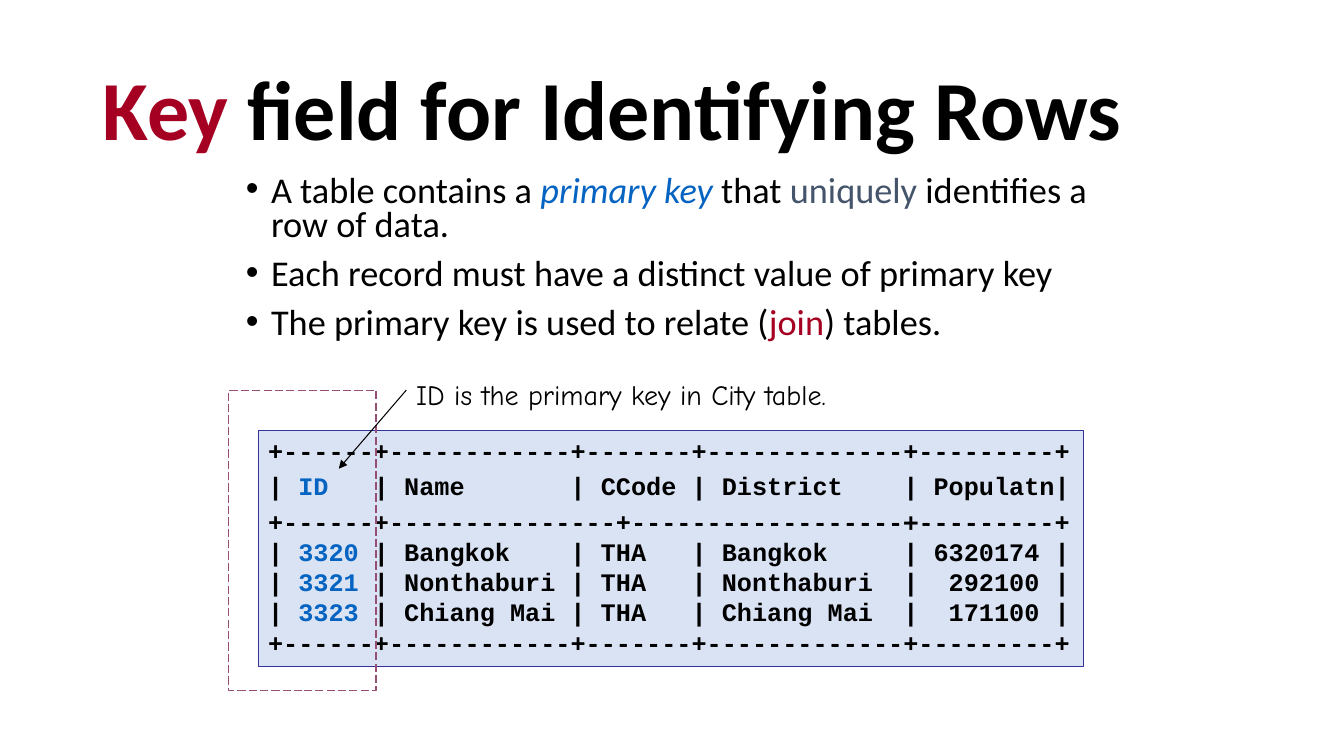
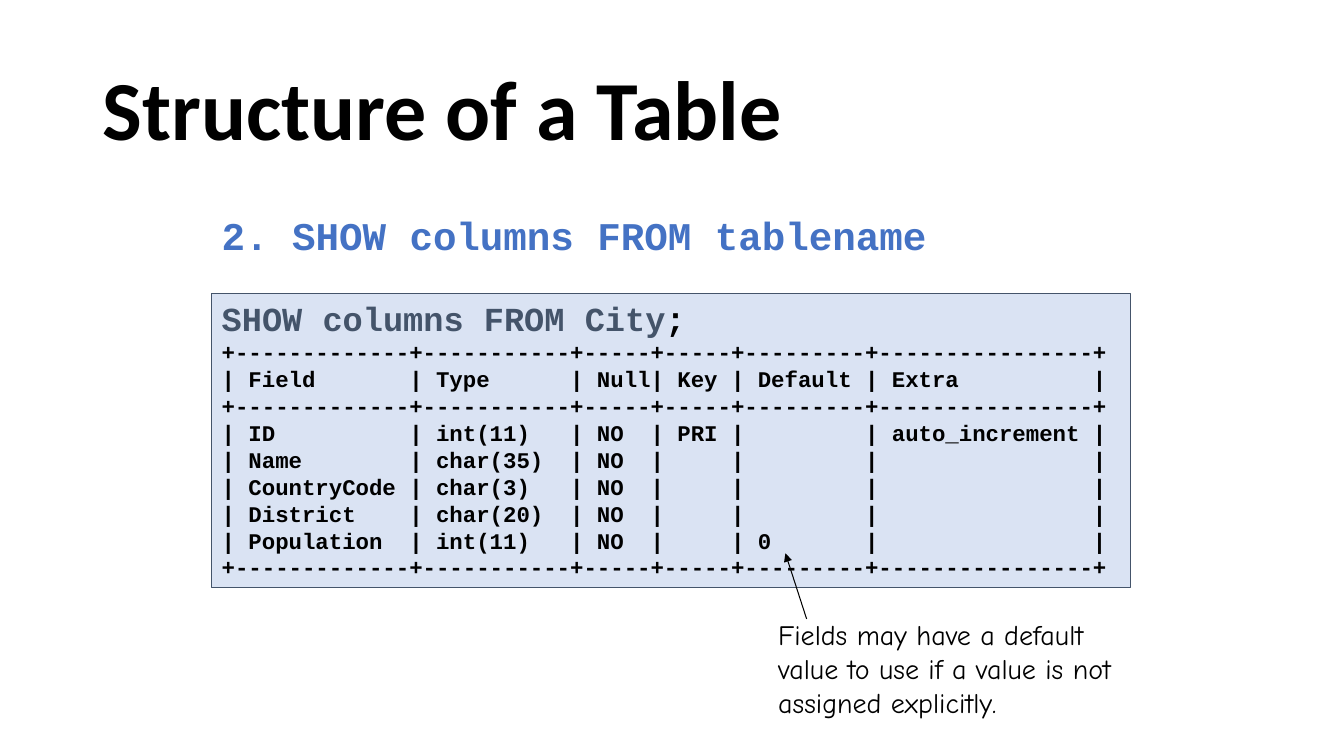
from dataclasses import dataclass, replace
from typing import Optional

from lxml import etree
from pptx import Presentation
from pptx.dml.color import RGBColor
from pptx.enum.dml import MSO_LINE
from pptx.enum.shapes import MSO_CONNECTOR, MSO_SHAPE
from pptx.enum.text import MSO_ANCHOR, PP_ALIGN
from pptx.oxml.ns import qn
from pptx.shapes.autoshape import Shape
from pptx.slide import Slide
from pptx.text.text import TextFrame
from pptx.util import Inches, Pt

RECTANGLE = MSO_SHAPE.RECTANGLE
STRAIGHT = MSO_CONNECTOR.STRAIGHT
LONG_DASH = MSO_LINE.LONG_DASH
TOP = MSO_ANCHOR.TOP
MIDDLE = MSO_ANCHOR.MIDDLE
LEFT = PP_ALIGN.LEFT


@dataclass(frozen=True)
class Theme:
    black: str = "000000"
    crimson: str = "A50021"
    key_blue: str = "0563C1"
    heading_blue: str = "4472C4"
    slate: str = "44546A"
    navy: str = "333399"
    plum: str = "954F72"
    listing_fill: str = "DAE3F3"
    sans: str = "Calibri"
    mono: str = "Courier New"
    mono_fallback: str = "DejaVu Sans Mono"
    hand: str = "Comic Neue"
    title_size: float = 60
    heading_size: float = 28
    bullet_size: float = 25.9
    command_size: float = 24
    callout_size: float = 20
    records_size: float = 18
    columns_size: float = 16
    line_width: float = 0.75


THEME = Theme()


@dataclass(frozen=True)
class Box:
    left: float
    top: float
    width: float
    height: float


@dataclass(frozen=True)
class Style:
    font: str
    size: float
    color: str = THEME.black
    bold: bool = False
    italic: bool = False


@dataclass(frozen=True)
class Span:
    text: str
    style: Style


@dataclass(frozen=True)
class Line:
    spans: tuple[Span, ...]
    space_before: float = 0
    spacing: Optional[float] = None
    bullet: bool = False


@dataclass(frozen=True)
class Callout:
    text: str
    box: Box
    start: tuple[float, float]
    end: tuple[float, float]


TITLE_BOX = Box(0.92, 0.4, 11.5, 1.45)
TITLE = Style(THEME.sans, THEME.title_size, bold=True)
BULLET = Style(THEME.sans, THEME.bullet_size)
HEADING = Style(THEME.mono, THEME.heading_size, THEME.heading_blue, bold=True)
COMMAND = Style(THEME.mono, THEME.command_size, THEME.slate, bold=True)
RECORDS = Style(THEME.mono, THEME.records_size, bold=True)
COLUMNS = Style(THEME.mono, THEME.columns_size, bold=True)
CALLOUT = Style(THEME.hand, THEME.callout_size)


def rgb(color: str) -> RGBColor:
    return RGBColor.from_string(color)


def write_lines(frame: TextFrame, lines: list[Line], anchor: MSO_ANCHOR = TOP) -> None:
    frame.word_wrap = True
    frame.vertical_anchor = anchor
    for index, line in enumerate(lines):
        paragraph = frame.paragraphs[0] if index == 0 else frame.add_paragraph()
        paragraph.alignment = LEFT
        paragraph.space_before = Pt(line.space_before)
        if line.spacing:
            paragraph.line_spacing = line.spacing
        if line.bullet:
            properties = paragraph._p.get_or_add_pPr()
            properties.set("marL", str(Inches(0.25)))
            properties.set("indent", str(Inches(-0.25)))
            etree.SubElement(properties, qn("a:buFont"), typeface="Arial")
            etree.SubElement(properties, qn("a:buChar"), char="\u2022")
        for span in line.spans:
            run = paragraph.add_run()
            run.text = span.text
            run.font.name = span.style.font
            run.font.size = Pt(span.style.size)
            run.font.bold = span.style.bold
            run.font.italic = span.style.italic
            run.font.color.rgb = rgb(span.style.color)


def add_text(slide: Slide, box: Box, lines: list[Line], anchor: MSO_ANCHOR = TOP) -> None:
    area = slide.shapes.add_textbox(
        Inches(box.left), Inches(box.top), Inches(box.width), Inches(box.height))
    write_lines(area.text_frame, lines, anchor)


def add_title(slide: Slide, *spans: Span) -> None:
    add_text(slide, TITLE_BOX, [Line(spans, spacing=0.9)], MIDDLE)


def add_frame(slide: Slide, box: Box, outline: str) -> Shape:
    frame = slide.shapes.add_shape(
        RECTANGLE, Inches(box.left), Inches(box.top), Inches(box.width), Inches(box.height))
    frame.shadow.inherit = False
    frame.fill.background()
    frame.line.color.rgb = rgb(outline)
    frame.line.width = Pt(THEME.line_width)
    return frame


def add_listing(slide: Slide, box: Box, outline: str, lines: list[Line]) -> None:
    listing = add_frame(slide, box, outline)
    listing.fill.solid()
    listing.fill.fore_color.rgb = rgb(THEME.listing_fill)
    write_lines(listing.text_frame, lines)


def add_callout(slide: Slide, callout: Callout) -> None:
    add_text(slide, callout.box, [Line((Span(callout.text, CALLOUT),))])
    arrow = slide.shapes.add_connector(
        STRAIGHT, *(Inches(value) for value in callout.start + callout.end))
    arrow.line.color.rgb = rgb(THEME.black)
    arrow.line.width = Pt(THEME.line_width)
    etree.SubElement(arrow.line._get_or_add_ln(), qn("a:tailEnd"), type="triangle")
    etree.SubElement(arrow._element.spPr, qn("a:effectLst"))


def border(widths: tuple[int, ...]) -> str:
    return "+" + "".join("-" * width + "+" for width in widths)


def row(cells: tuple[str, ...], widths: tuple[int, ...]) -> str:
    return "|" + "".join(f" {cell}".ljust(width) + "|" for cell, width in zip(cells, widths))


def key_row(text: str, key: str, space_before: float = 0) -> Line:
    before, after = text.split(key, 1)
    return Line((Span(before, RECORDS), Span(key, replace(RECORDS, color=THEME.key_blue)),
                 Span(after, RECORDS)), space_before)


def build_key_slide(slide: Slide) -> None:
    add_title(slide, Span("Key", replace(TITLE, color=THEME.crimson)),
              Span(" field for Identifying Rows", TITLE))

    points = (
        (Span("A table contains a ", BULLET),
         Span("primary key", replace(BULLET, color=THEME.key_blue, italic=True)),
         Span(" that ", BULLET),
         Span("uniquely", replace(BULLET, color=THEME.slate)),
         Span(" identifies a row of data.", BULLET)),
        (Span("Each record must have a distinct value of primary key", BULLET),),
        (Span("The primary key is used to relate (", BULLET),
         Span("join", replace(BULLET, color=THEME.crimson)),
         Span(") tables.", BULLET)),
    )
    add_text(slide, Box(2.34, 1.69, 9.15, 1.87),
             [Line(point, 10, 0.8, bullet=True) for point in points])

    widths = (6, 12, 7, 13, 9)
    header = row(("ID", "Name", "CCode", "District", "Populatn"), widths).removesuffix(" |")
    cities = (
        ("3320", "Bangkok", "THA", "Bangkok", "6320174"),
        ("3321", "Nonthaburi", "THA", "Nonthaburi", " 292100"),
        ("3323", "Chiang Mai", "THA", "Chiang Mai", " 171100"),
    )
    edge = (Span(border(widths), RECORDS),)
    divider = (Span(border((6, 15, 18))[:-1], RECORDS),
               Span("+", replace(RECORDS, font=THEME.mono_fallback)),
               Span(border((9,))[1:], RECORDS))
    gap = 0.2 * THEME.records_size
    add_listing(slide, Box(2.56, 4.27, 8.19, 2.34), THEME.navy, [
        Line(edge, gap),
        key_row(header, "ID", gap),
        Line(divider, gap),
        *(key_row(row(city, widths), city[0]) for city in cities),
        Line(edge),
    ])

    key_column = add_frame(slide, Box(2.27, 3.87, 1.46, 2.98), THEME.plum)
    key_column.line.dash_style = LONG_DASH
    add_callout(slide, Callout("ID is the primary key in City table.",
                               Box(4.03, 3.7, 5, 0.43), (4.03, 3.87), (3.36, 4.65)))


def build_structure_slide(slide: Slide) -> None:
    add_title(slide, Span("Structure of a Table", TITLE))
    add_text(slide, Box(2.1, 2.1, 8.9, 0.62),
             [Line((Span("2. SHOW columns FROM tablename", HEADING),), 10, 0.9)])

    widths = (13, 11, 5, 5, 9, 16)
    header = ("Field", "Type", "Null", "Key", "Default", "Extra")
    fields = (
        ("ID", "int(11)", "NO", "PRI", "", "auto_increment"),
        ("Name", "char(35)", "NO", "", "", ""),
        ("CountryCode", "char(3)", "NO", "", "", ""),
        ("District", "char(20)", "NO", "", "", ""),
        ("Population", "int(11)", "NO", "", "0", ""),
    )
    edge = border(widths)
    output = [edge, row(header, widths), edge, *(row(field, widths) for field in fields), edge]
    command = Line((Span("SHOW columns FROM City", COMMAND),
                    Span(";", replace(COMMAND, color=THEME.black))))
    add_listing(slide, Box(2.1, 2.91, 9.11, 2.92), THEME.slate,
                [command, *(Line((Span(text, COLUMNS),)) for text in output)])

    add_callout(slide, Callout(
        "Fields may have a default value to use if a value is not assigned explicitly.",
        Box(7.62, 6.08, 3.67, 1.1), (8, 6.14), (7.79, 5.49)))


def main() -> None:
    deck = Presentation()
    deck.slide_width = Inches(13.33)
    deck.slide_height = Inches(7.5)
    blank = deck.slide_layouts[6]
    for build in (build_key_slide, build_structure_slide):
        build(deck.slides.add_slide(blank))
    deck.save("out.pptx")


main()
